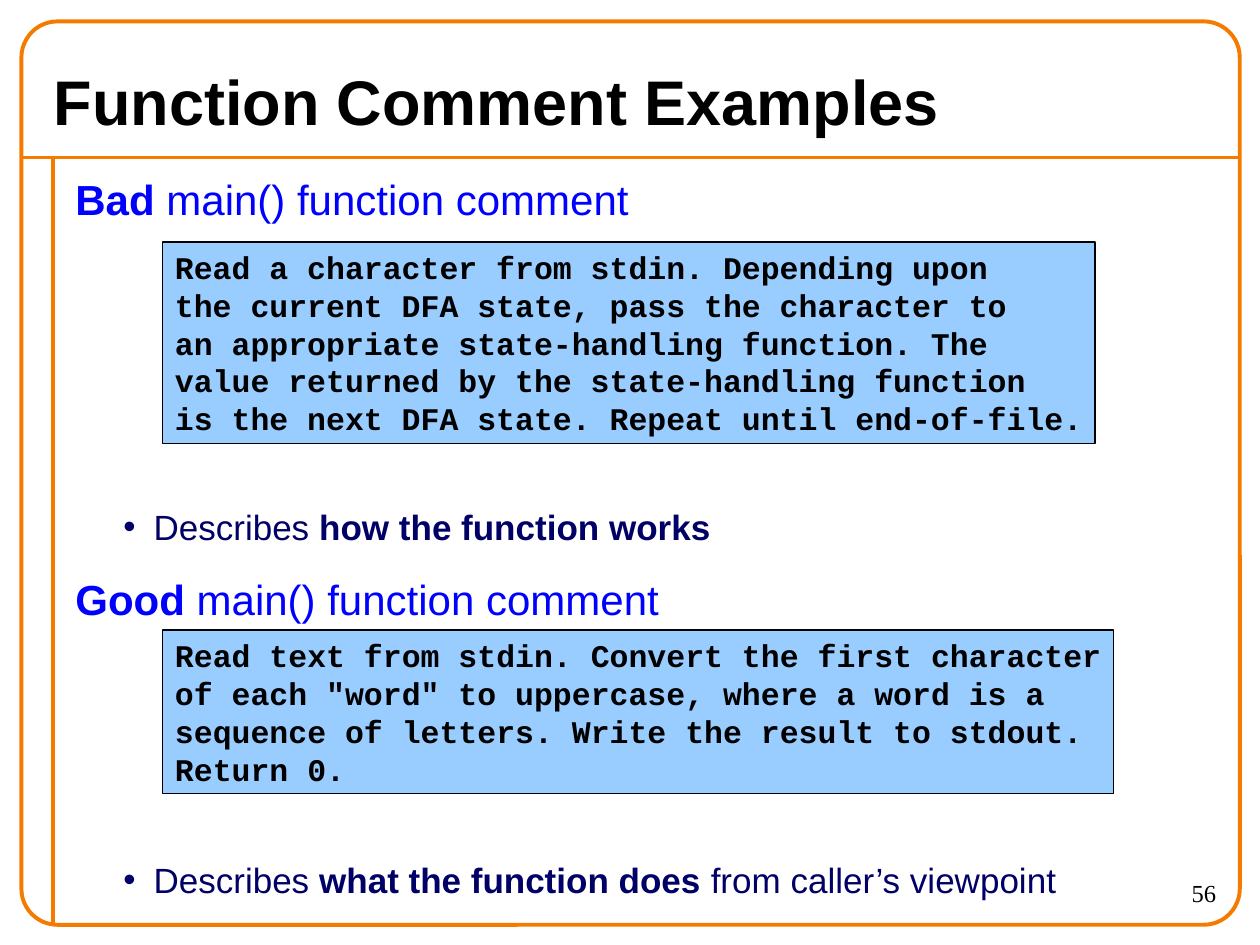
from lxml import etree
from pptx import Presentation
from pptx.dml.color import RGBColor
from pptx.enum.shapes import MSO_CONNECTOR, MSO_SHAPE
from pptx.enum.text import MSO_ANCHOR, MSO_AUTO_SIZE, PP_ALIGN
from pptx.oxml.ns import qn
from pptx.util import Inches, Pt

LINE = MSO_CONNECTOR.STRAIGHT
RECT, ROUND = MSO_SHAPE.RECTANGLE, MSO_SHAPE.ROUNDED_RECTANGLE
TOP, MIDDLE = MSO_ANCHOR.TOP, MSO_ANCHOR.MIDDLE
GROW = MSO_AUTO_SIZE.SHAPE_TO_FIT_TEXT
LEFT, RIGHT = PP_ALIGN.LEFT, PP_ALIGN.RIGHT

COLORS = {"frame": "F47A00", "black": "000000", "head": "0000FF",
          "point": "000066", "code": "99CCFF"}

BAD = ["Read a character from stdin. Depending upon",
       "the current DFA state, pass the character to",
       "an appropriate state-handling function. The",
       "value returned by the state-handling function",
       "is the next DFA state. Repeat until end-of-file."]
GOOD = ["Read text from stdin. Convert the first character",
        'of each "word" to uppercase, where a word is a',
        "sequence of letters. Write the result to stdout.",
        "Return 0."]


def color(name):
    return RGBColor.from_string(COLORS[name])


def add_run(para, text, size, hue, bold=False, font="Arial"):
    run = para.add_run()
    run.text = text
    run.font.name = font
    run.font.size = Pt(size)
    run.font.bold = bold
    run.font.color.rgb = color(hue)


def add_rule(slide, x1, y1, x2, y2):
    rule = slide.shapes.add_connector(
        LINE, Inches(x1), Inches(y1), Inches(x2), Inches(y2))
    rule.line.color.rgb = color("frame")
    rule.line.width = Pt(2.25)
    etree.SubElement(rule._element.spPr, qn("a:effectLst"))


def add_frame(slide):
    """Draw the rounded border with its two inner rules."""
    add_rule(slide, 0.17, 1.25, 9.83, 1.25)
    add_rule(slide, 0.42, 1.25, 0.42, 7.33)
    edge = slide.shapes.add_shape(
        ROUND, Inches(0.17), Inches(0.17), Inches(9.67), Inches(7.17))
    edge.adjustments[0] = 0.04
    edge.shadow.inherit = False
    edge.fill.background()
    edge.line.color.rgb = color("frame")
    edge.line.width = Pt(2.25)


def add_text(slide, left, top, width, height, anchor=TOP):
    box = slide.shapes.add_textbox(
        Inches(left), Inches(top), Inches(width), Inches(height))
    frame = box.text_frame
    frame.word_wrap = True
    frame.vertical_anchor = anchor
    return frame


def add_head(para, lead):
    add_run(para, lead, 24, "head", True)
    add_run(para, "main() function comment", 24, "head")


def add_point(para, parts):
    """Fill a bulleted paragraph from (text, bold) pairs."""
    props = para._p.get_or_add_pPr()
    props.set("marL", str(Inches(0.62)))
    props.set("indent", str(Inches(-0.24)))
    hue = etree.SubElement(props, qn("a:buClr"))
    etree.SubElement(hue, qn("a:srgbClr"), val=COLORS["point"])
    etree.SubElement(props, qn("a:buFont"), typeface="Arial")
    etree.SubElement(props, qn("a:buChar"), char="•")
    for text, bold in parts:
        add_run(para, text, 20, "point", bold)


def add_body(slide):
    """Write both topics, leaving room for a code box under each head."""
    frame = add_text(slide, 0.5, 1.33, 9.25, 6)
    topics = [
        ("Bad ", 0, 161, [("Describes ", False),
                          ("how the function works", True)]),
        ("Good ", 14.5, 134, [("Describes ", False),
                              ("what the function does ", True),
                              ("from caller’s viewpoint", False)]),
    ]
    para = frame.paragraphs[0]
    for lead, gap, room, parts in topics:
        if gap:
            para = frame.add_paragraph()
            para.space_before = Pt(gap)
        add_head(para, lead)
        para = frame.add_paragraph()
        para.space_before = Pt(room)
        add_point(para, parts)


def add_code(slide, top, width, height, lines):
    box = slide.shapes.add_shape(
        RECT, Inches(1.29), Inches(top), Inches(width), Inches(height))
    box.shadow.inherit = False
    box.fill.solid()
    box.fill.fore_color.rgb = color("code")
    box.line.color.rgb = color("black")
    box.line.width = Pt(0.75)
    frame = box.text_frame
    frame.word_wrap = False
    frame.auto_size = GROW
    frame.vertical_anchor = TOP
    for i, text in enumerate(lines):
        para = frame.add_paragraph() if i else frame.paragraphs[0]
        para.alignment = LEFT
        para.line_spacing = Pt(21.6)
        add_run(para, text, 18, "black", True, "Courier New")


def main():
    deck = Presentation()
    deck.slide_width, deck.slide_height = Inches(10), Inches(7.5)
    slide = deck.slides.add_slide(deck.slide_layouts[6])
    add_frame(slide)
    title = add_text(slide, 0.33, 0.42, 9.33, 0.75, MIDDLE)
    add_run(title.paragraphs[0], "Function Comment Examples", 36, "black", True)
    add_body(slide)
    page = add_text(slide, 8.75, 6.92, 1, 0.42).paragraphs[0]
    page.alignment = RIGHT
    add_run(page, "56", 14, "black", font="Times New Roman")
    add_code(slide, 1.92, 7.4, 1.6, BAD)
    add_code(slide, 5, 7.55, 1.3, GOOD)
    deck.save("out.pptx")


if __name__ == "__main__":
    main()
